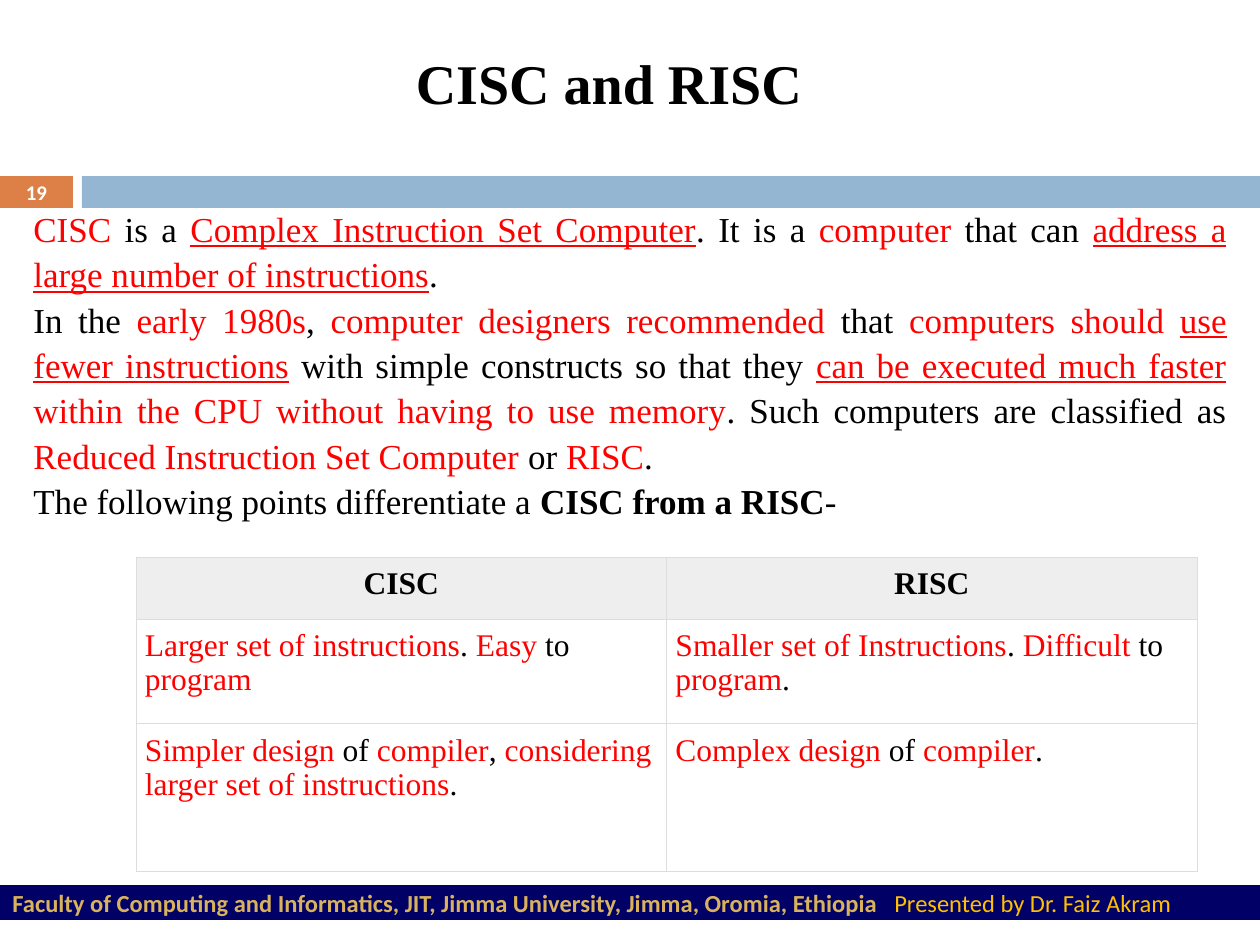
from pptx import Presentation
from pptx.dml.color import RGBColor
from pptx.enum.shapes import MSO_CONNECTOR, MSO_SHAPE
from pptx.enum.text import MSO_ANCHOR as ANCHOR, PP_ALIGN as ALIGN
from pptx.oxml.ns import qn
from pptx.util import Pt
from lxml.etree import SubElement

PX = 914400 / 126
SERIF, SANS = "Times New Roman", "Calibri"
STYLES = {
    "black": dict(name=SERIF, color="000000"),
    "red": dict(name=SERIF, color="FF0000"),
    "under": dict(name=SERIF, color="FF0000", underline=True),
    "bold": dict(name=SERIF, color="000000", bold=True),
    "number": dict(name=SANS, color="FFFFFF", bold=True),
    "faculty": dict(name=SANS, color="D8B25C", bold=True),
    "speaker": dict(name=SANS, color="FFC000"),
}


def emu(*lengths):
    return [round(n * PX) for n in lengths]


def write(tf, paragraphs, size, align=ALIGN.LEFT, spacing=None):
    for i, runs in enumerate(paragraphs):
        p = tf.add_paragraph() if i else tf.paragraphs[0]
        p.alignment, p.line_spacing = align, spacing
        for style, text in runs:
            r = p.add_run()
            r.text, r.font.size = text, Pt(size)
            for key, value in STYLES[style].items():
                if key == "color":
                    r.font.color.rgb = RGBColor.from_string(value)
                else:
                    setattr(r.font, key, value)


prs = Presentation()
prs.slide_width, prs.slide_height = emu(1260, 945)
s = prs.slides.add_slide(prs.slide_layouts[6])

# Header bars
for x, w, color in [(0, 73, "DD8047"), (82, 1178, "94B6D2")]:
    sp = s.shapes.add_shape(MSO_SHAPE.RECTANGLE, *emu(x, 176, w, 32))
    sp.shadow.inherit = False
    sp.fill.solid()
    sp.fill.fore_color.rgb = RGBColor.from_string(color)
    sp.line.fill.background()

# Footer band
band = s.shapes.add_connector(MSO_CONNECTOR.STRAIGHT, *emu(0, 903, 1260, 903))
band.line.color.rgb = RGBColor.from_string("000066")
band.line.width = Pt(20)
SubElement(band._element.spPr, qn("a:effectLst"))

# Text boxes
body = [
    [("red", "CISC"), ("black", " is a "), ("under", "Complex Instruction Set Computer"),
     ("black", ". It is a "), ("red", "computer"), ("black", " that can "),
     ("under", "address a large number of instructions"), ("black", ".")],
    [("black", "In the "), ("red", "early 1980s"), ("black", ", "),
     ("red", "computer designers recommended"), ("black", " that "),
     ("red", "computers should "), ("under", "use fewer instructions"),
     ("black", " with simple constructs so that they "),
     ("under", "can be executed much faster"),
     ("red", " within the CPU without having to use memory"),
     ("black", ". Such computers are classified as "),
     ("red", "Reduced Instruction Set Computer"), ("black", " or "),
     ("red", "RISC"), ("black", ".")],
    [("black", "The following points differentiate a "),
     ("bold", "CISC from a RISC"), ("black", "-")],
]
footer = [[("faculty", "Faculty of Computing and Informatics, JIT, Jimma University, "
            "Jimma, Oromia, Ethiopia\t"), ("speaker", "Presented by Dr. Faiz Akram")]]
boxes = [
    ((0, 175, 73, 34), [[("number", "19")]], 11.9, ALIGN.CENTER, ANCHOR.MIDDLE, None),
    ((0, 889, 1207, 28), footer, 14, ALIGN.LEFT, ANCHOR.MIDDLE, None),
    ((21, 198, 1218, 310), body, 20, ALIGN.JUSTIFY, ANCHOR.TOP, 1.08),
    ((336, 42, 546, 80), [[("bold", "CISC and RISC")]], 32, ALIGN.CENTER, ANCHOR.TOP, None),
]
for at, paragraphs, size, align, anchor, spacing in boxes:
    tf = s.shapes.add_textbox(*emu(*at)).text_frame
    tf.word_wrap, tf.vertical_anchor = True, anchor
    if paragraphs is footer:
        tf.margin_top = tf.margin_bottom = 0
        pPr = tf.paragraphs[0]._p.get_or_add_pPr()
        tabs = SubElement(pPr, qn("a:tabLst"))
        SubElement(tabs, qn("a:tab"), pos=str(emu(882)[0]), algn="l")
    write(tf, paragraphs, size, align, spacing)

# Comparison table
rows = [
    [[("bold", "CISC")], [("bold", "RISC")]],
    [[("red", "Larger set of instructions"), ("black", ". "), ("red", "Easy "),
      ("black", "to"), ("red", " program")],
     [("red", "Smaller set of Instructions"), ("black", ". "), ("red", "Difficult "),
      ("black", "to "), ("red", "program"), ("black", ".")]],
    [[("red", "Simpler design "), ("black", "of "), ("red", "compiler"), ("black", ", "),
      ("red", "considering larger set of instructions"), ("black", ".")],
     [("red", "Complex design "), ("black", "of "), ("red", "compiler"), ("black", ".")]],
]
table = s.shapes.add_table(3, 2, *emu(136, 557, 1061, 315)).table
table.first_row = table.horz_banding = False
for column in table.columns:
    column.width = emu(530.5)[0]
for row, height in zip(table.rows, emu(62, 105, 148)):
    row.height = height
for i, row in enumerate(rows):
    for j, runs in enumerate(row):
        cell = table.cell(i, j)
        for side in ("left", "right", "top", "bottom"):
            setattr(cell, f"margin_{side}", emu(9)[0])
        tcPr = cell._tc.get_or_add_tcPr()
        for edge in ("lnL", "lnR", "lnT", "lnB"):
            ln = SubElement(tcPr, qn(f"a:{edge}"), w=str(Pt(0.6)))
            SubElement(SubElement(ln, qn("a:solidFill")), qn("a:srgbClr"), val="DDDDDD")
        if i:
            cell.fill.background()
        else:
            cell.fill.solid()
            cell.fill.fore_color.rgb = RGBColor.from_string("EEEEEE")
        write(cell.text_frame, [runs], 18, ALIGN.LEFT if i else ALIGN.CENTER)

prs.save("out.pptx")
